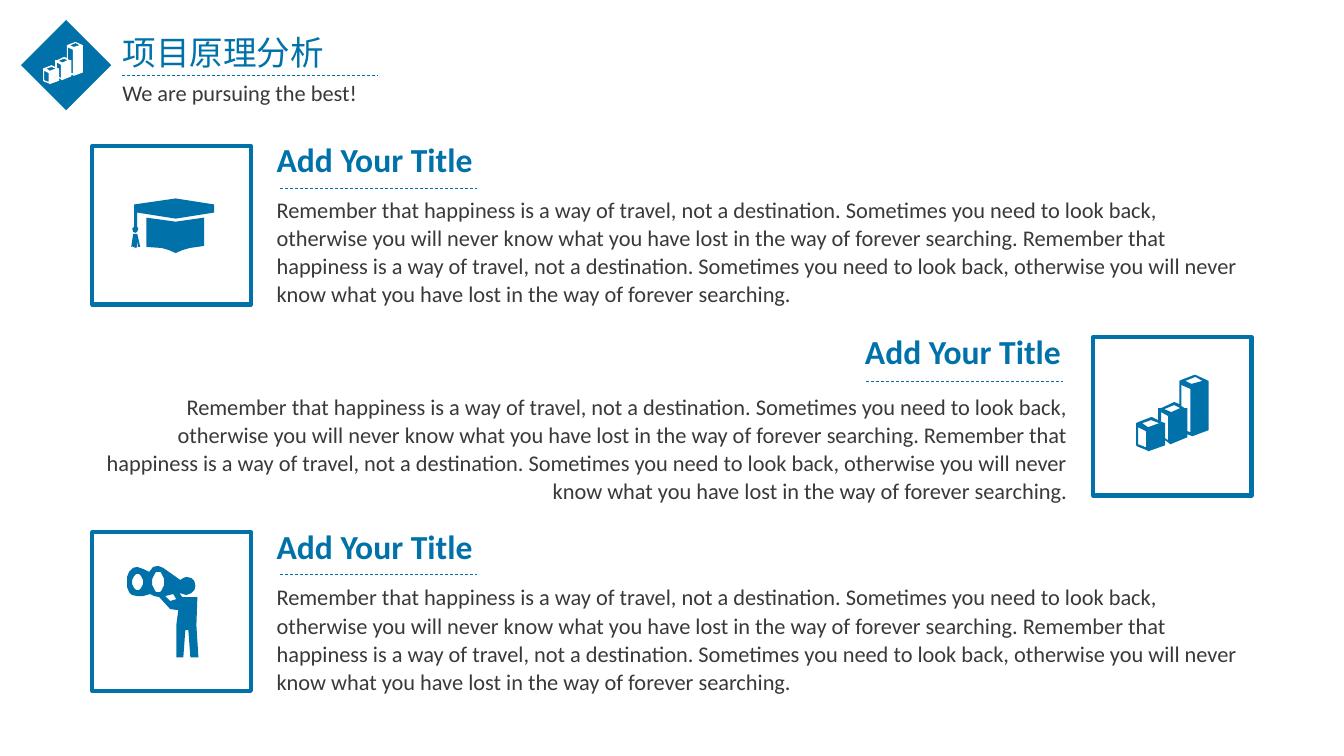
from dataclasses import dataclass
from math import cos, pi, sin

from lxml.etree import SubElement
from pptx import Presentation
from pptx.dml.color import RGBColor
from pptx.enum.dml import MSO_LINE
from pptx.enum.shapes import MSO_CONNECTOR, MSO_SHAPE
from pptx.enum.text import MSO_ANCHOR, MSO_AUTO_SIZE, PP_ALIGN
from pptx.oxml.ns import qn
from pptx.util import Pt


@dataclass(frozen=True)
class Theme:
    """Colours, fonts and sizes of the slide."""
    blue: RGBColor = RGBColor(0x00, 0x72, 0xA9)
    ink: RGBColor = RGBColor(0x3B, 0x38, 0x38)
    white: RGBColor = RGBColor(0xFF, 0xFF, 0xFF)
    font: str = "Calibri"
    han: str = "Noto Sans CJK SC"
    head: Pt = Pt(24)
    body: Pt = Pt(16)
    lead: Pt = Pt(20)
    thin: Pt = Pt(0.5)
    thick: Pt = Pt(3)


@dataclass(frozen=True)
class Side:
    """Horizontal places of a row whose frame is left or right."""
    frame: int
    title: int
    rule: int
    body: int
    align: PP_ALIGN


THEME = Theme()
SCALE = 9525
FRAME = 151
LEFT = Side(88, 254, 267, 254, PP_ALIGN.LEFT)
RIGHT = Side(1041, 766, 825, 81, PP_ALIGN.RIGHT)
HEAD = {"size": THEME.head, "name": THEME.font, "bold": True}
BODY = {"size": THEME.body, "name": THEME.font}
TITLE = "Add Your Title"
TEXT = " ".join(["Remember that happiness is a way of travel, not a destination. "
                 "Sometimes you need to look back, otherwise you will never know "
                 "what you have lost in the way of forever searching."] * 2)


def ring(x, y, wide, high):
    """Return the points of an ellipse around a centre."""
    turns = [2 * pi * n / 24 for n in range(24)]
    return [(round(x + wide * cos(t), 2), round(y + high * sin(t), 2)) for t in turns]


BARS = [
    [(49, 6), (55, 9), (66, 6), (59, 2)],
    [(10, 56), (2, 52), (2, 69), (10, 72)],
    [(28, 34), (35, 37), (44, 33), (38, 30)],
    [(22, 33), (25, 33), (38, 27), (43, 29), (43, 6), (45, 5), (58, 0), (59, 0),
     (70, 5), (72, 6), (72, 55), (56, 61), (51, 59), (51, 62), (34, 69), (33, 68),
     (29, 65), (29, 70), (12, 76), (11, 75), (1, 71), (0, 70), (0, 48), (2, 47),
     (15, 42), (16, 42), (26, 47), (29, 48), (29, 63), (32, 65), (32, 41),
     (25, 37), (25, 46), (22, 45)],
    [(45, 31), (48, 33), (51, 33), (51, 56), (54, 57), (54, 14), (45, 10)],
    [(6, 48), (12, 52), (23, 48), (15, 45)],
]
CAP = [
    [(15, 48), (30, 49), (37, 51), (44, 54), (51, 51), (58, 49), (72, 47),
     (72, 19), (44, 23), (15, 19)],
    [(82, 6), (82, 14), (44, 20), (6, 14), (6, 28), (7, 30), (6, 33), (4, 34),
     (2, 33), (1, 30), (3, 28), (3, 6), (44, 0)],
    [(6, 35), (2, 35), (0, 48), (1, 48), (2, 46), (2, 48), (5, 49), (6, 47),
     (6, 49), (6, 42), (7, 48), (9, 48)],
]
SCOUT = [
    [(31, 0), (26, 1), (22, 6), (16, 3), (10, 1), (6, 2), (2, 6), (0, 11), (0, 21),
     (2, 26), (5, 29), (10, 30), (16, 30), (23, 28), (27, 30), (32, 31), (43, 43),
     (51, 44), (49, 59), (49, 91), (56, 91), (58, 64), (61, 64), (63, 91), (71, 91),
     (69, 59), (70, 31), (55, 31), (52, 27), (56, 28), (59, 29), (64, 27), (67, 24),
     (68, 20), (67, 15), (64, 12), (59, 11), (56, 12), (53, 14), (36, 2)],
    [(49, 33), (43, 35), (38, 30), (46, 28)],
    ring(10.5, 16, 5.5, 8.5),
    ring(31, 16, 6, 10),
]


def px(*sizes):
    """Turn pixel lengths into EMU."""
    return [size * SCALE for size in sizes]


def style(item, values):
    """Set each named value on an object."""
    for name, value in values.items():
        setattr(item, name, value)


def write(shape, text, font, color, para=None):
    """Fill a shape with one formatted paragraph."""
    frame = shape.text_frame
    style(frame, {"word_wrap": True, "vertical_anchor": MSO_ANCHOR.TOP,
                  "auto_size": MSO_AUTO_SIZE.SHAPE_TO_FIT_TEXT})
    line = frame.paragraphs[0]
    style(line, para or {"alignment": PP_ALIGN.LEFT})
    run = line.add_run()
    run.text = text
    style(run.font, font)
    run.font.color.rgb = color
    return run


def label(slide, box, *words):
    """Add a text box."""
    write(slide.shapes.add_textbox(*px(*box)), *words)


def head(slide, text):
    """Place and fill the slide title."""
    shape = slide.shapes.title
    style(shape, dict(zip(("left", "top", "width", "height"), px(107, 26, 322, 49))))
    run = write(shape, text, {"size": THEME.head, "name": THEME.han}, THEME.blue)
    SubElement(run.font._element, qn("a:ea"), typeface=THEME.han)


def rule(slide, left, top, wide):
    """Draw a thin dashed line."""
    ends = px(left, top, left + wide, top)
    line = slide.shapes.add_connector(MSO_CONNECTOR.STRAIGHT, *ends)
    style(line.line, {"width": THEME.thin, "dash_style": MSO_LINE.DASH})
    line.line.color.rgb = THEME.blue
    SubElement(line._element.spPr, qn("a:effectLst"))


def paint(shape, color):
    """Give a shape a plain fill without line or shadow."""
    shape.shadow.inherit = False
    shape.fill.solid()
    shape.fill.fore_color.rgb = color
    shape.line.fill.background()


def icon(slide, loops, left, top, wide, color):
    """Draw closed loops as one icon of the given width."""
    unit = wide * SCALE / max(x for loop in loops for x, _ in loop)
    pen = slide.shapes.build_freeform(*loops[0][0], scale=unit)
    for loop in loops:
        pen.move_to(*loop[0])
        pen.add_line_segments(loop[1:], close=True)
    paint(pen.convert_to_shape(*px(left, top)), color)


def square(slide, left, top):
    """Draw an open frame."""
    shape = slide.shapes.add_shape(MSO_SHAPE.RECTANGLE, *px(left, top, FRAME, FRAME))
    shape.shadow.inherit = False
    shape.fill.background()
    shape.line.width = THEME.thick
    shape.line.color.rgb = THEME.blue


def row(slide, side, top, drop, gap, art):
    """Add a frame with its icon, title, rule and body."""
    square(slide, side.frame, top)
    icon(slide, *art, THEME.blue)
    para = {"alignment": side.align}
    label(slide, (side.title, top - 11, 254, 49), TITLE, HEAD, THEME.blue, para)
    rule(slide, side.rule, top + drop, 187)
    para = {**para, "line_spacing": THEME.lead}
    label(slide, (side.body, top + gap, 945, 150), TEXT, BODY, THEME.ink, para)


def main():
    """Build and save the slide."""
    deck = Presentation()
    deck.slide_width, deck.slide_height = px(1280, 720)
    slide = deck.slides.add_slide(deck.slide_layouts[5])
    head(slide, "项目原理分析")
    gem = slide.shapes.add_shape(MSO_SHAPE.DIAMOND, *px(20, 19, 86, 86))
    paint(gem, THEME.blue)
    icon(slide, BARS, 41, 40, 38, THEME.white)
    rule(slide, 116, 72, 243)
    label(slide, (107, 71, 324, 36), "We are pursuing the best!", BODY, THEME.ink)
    row(slide, LEFT, 139, 40, 42, (CAP, 125, 189, 79))
    row(slide, RIGHT, 321, 42, 48, (BARS, 1082, 357, 69))
    row(slide, LEFT, 507, 40, 43, (SCOUT, 121, 539, 68))
    deck.save("out.pptx")


if __name__ == "__main__":
    main()
